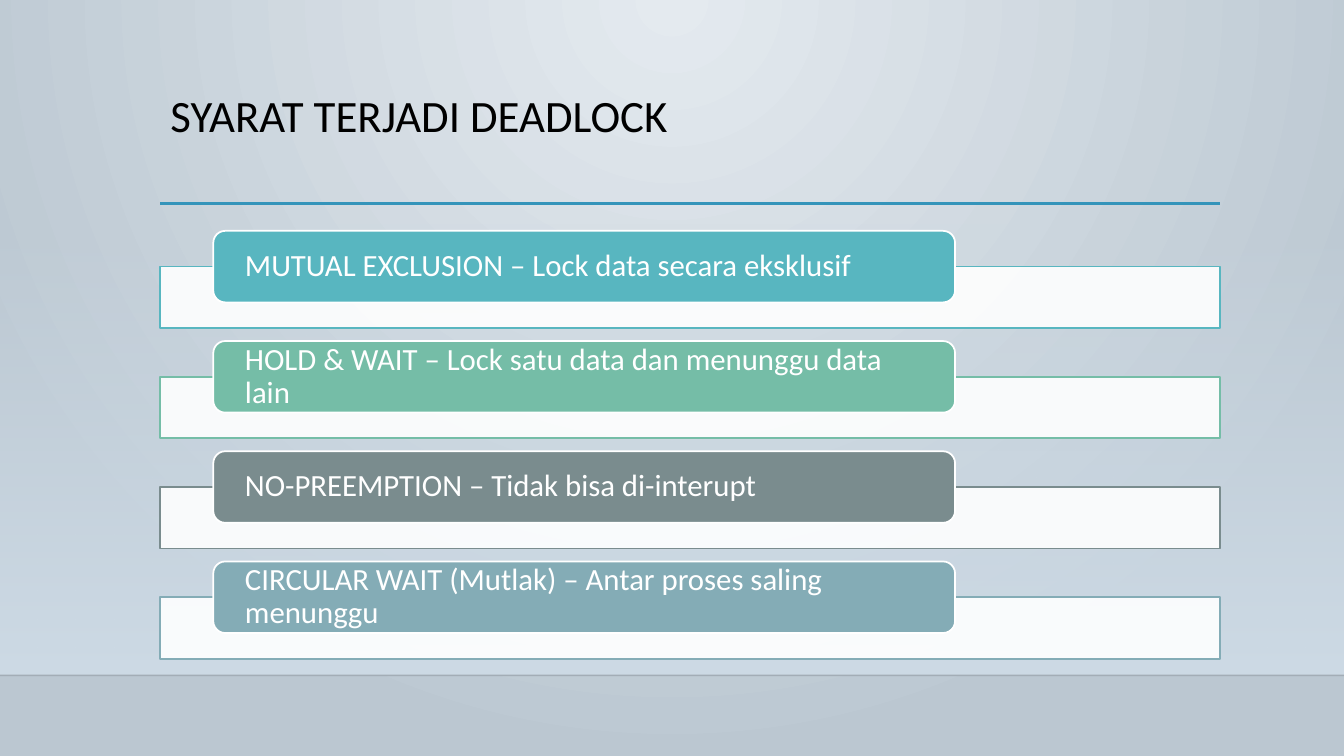
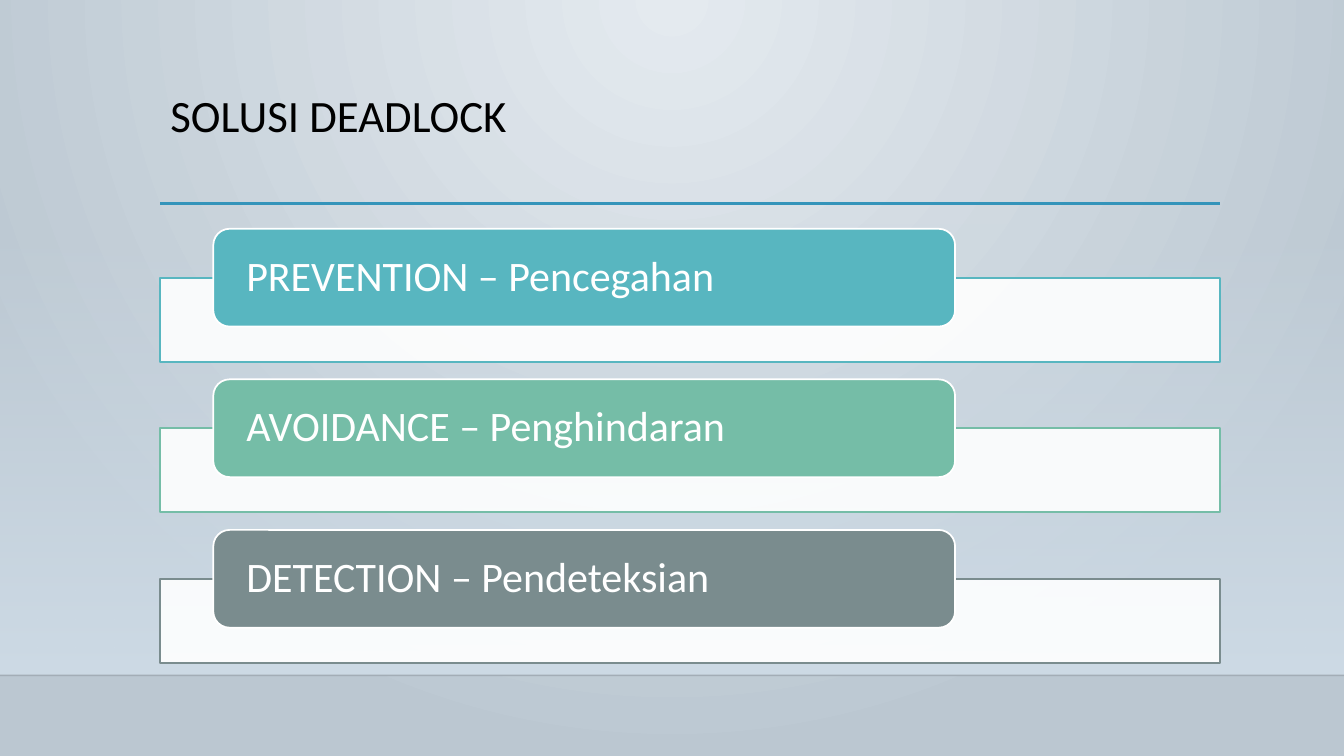
from lxml import etree
from pptx import Presentation
from pptx.dml.color import RGBColor
from pptx.enum.shapes import MSO_CONNECTOR, MSO_SHAPE
from pptx.enum.text import MSO_ANCHOR, PP_ALIGN
from pptx.oxml.ns import qn
from pptx.util import Inches, Pt

BLACK = RGBColor(0x00, 0x00, 0x00)
WHITE = RGBColor(0xFF, 0xFF, 0xFF)
BLUE = RGBColor(0x34, 0x94, 0xBA)
HAZE = RGBColor(0xCE, 0xDB, 0xE6)
GLOW = RGBColor(0xE4, 0xEA, 0xEF)
EDGE = RGBColor(0xBB, 0xC7, 0xD1)
ACCENTS = [
    RGBColor(0x58, 0xB6, 0xC0),
    RGBColor(0x75, 0xBD, 0xA7),
    RGBColor(0x7A, 0x8C, 0x8E),
    RGBColor(0x84, 0xAC, 0xB6),
]

FONT = "Calibri"
WIDTH, HEIGHT = 13.33, 7.5
LEFT, CONTENT_WIDTH = 1.59, 10.51
FLOOR = 6.7

# Row proportions, as multiples of the pill height
BAR_OFFSET, BAR_HEIGHT, ROW_PITCH = 0.5, 0.86, 1.54

SLIDES = [
    {
        "title": "SYARAT TERJADI DEADLOCK",
        "top": 2.29, "pill_height": 0.71, "size": 22,
        "items": [
            "MUTUAL EXCLUSION – Lock data secara eksklusif",
            "HOLD & WAIT – Lock satu data dan menunggu data lain",
            "NO-PREEMPTION – Tidak bisa di-interupt",
            "CIRCULAR WAIT (Mutlak) – Antar proses saling menunggu",
        ],
    },
    {
        "title": "SOLUSI DEADLOCK",
        "top": 2.27, "pill_height": 0.97, "size": 30,
        "items": [
            "PREVENTION – Pencegahan",
            "AVOIDANCE – Penghindaran",
            "DETECTION – Pendeteksian",
        ],
    },
]


def set_alpha(color, percent):
    etree.SubElement(color, qn("a:alpha")).set("val", str(percent * 1000))


def first_color(shape):
    return shape.element.spPr.find(".//" + qn("a:srgbClr"))


def set_gradient(fill, colors):
    fill.gradient()
    for stop, color, position in zip(fill.gradient_stops, colors, (0, 1)):
        stop.color.rgb = color
        stop.position = position


def add_box(s, kind, left, top, width, height):
    sp = s.shapes.add_shape(kind, Inches(left), Inches(top), Inches(width), Inches(height))
    sp.shadow.inherit = False
    return sp


def add_rule(s, left, y, width, color, weight):
    line = s.shapes.add_connector(
        MSO_CONNECTOR.STRAIGHT, Inches(left), Inches(y), Inches(left + width), Inches(y))
    line.line.color.rgb = color
    line.line.width = Pt(weight)
    etree.SubElement(line.element.spPr, qn("a:effectLst"))
    return line


def set_background(layout):
    """Radial glow from the top centre."""
    set_gradient(layout.background.fill, (GLOW, EDGE))
    grad = layout.element.find(".//" + qn("a:gradFill"))
    grad.remove(grad.find(qn("a:lin")))
    radial = etree.SubElement(grad, qn("a:path"))
    radial.set("path", "circle")
    focus = etree.SubElement(radial, qn("a:fillToRect"))
    for side, percent in {"l": 43, "t": 0, "r": 43, "b": 100}.items():
        focus.set(side, str(percent * 1000))


def add_layout_decor(layout, s):
    """Draw the shared parts on a slide, then move them to its layout."""
    haze = add_box(s, MSO_SHAPE.RECTANGLE, 0, 2.21, WIDTH, FLOOR - 2.21)
    set_gradient(haze.fill, (HAZE, HAZE))
    haze.fill.gradient_angle = 270
    haze.line.fill.background()
    set_alpha(first_color(haze), 0)

    floor_line = add_rule(s, 0, FLOOR, WIDTH, BLACK, 1)
    set_alpha(first_color(floor_line), 20)
    title_line = add_rule(s, LEFT, 2.02, CONTENT_WIDTH, BLUE, 2.5)

    tree = layout.element.find(".//" + qn("p:spTree"))
    for number, part in enumerate((haze, floor_line, title_line), start=100):
        part.element.find(".//" + qn("p:cNvPr")).set("id", str(number))
        tree.append(part.element)


def write_text(tf, text, size, color, anchor):
    tf.word_wrap = True
    tf.vertical_anchor = anchor
    p = tf.paragraphs[0]
    p.alignment = PP_ALIGN.LEFT
    p.line_spacing = 0.9
    r = p.add_run()
    r.text = text
    for name, value in {"name": FONT, "size": Pt(size)}.items():
        setattr(r.font, name, value)
    r.font.color.rgb = color


def add_title(s, text):
    title = s.shapes.title
    box = {"left": LEFT, "top": 0.88, "width": CONTENT_WIDTH, "height": 1.15}
    for name, value in box.items():
        setattr(title, name, Inches(value))
    write_text(title.text_frame, text, 32, BLACK, MSO_ANCHOR.TOP)


def add_row(s, left, top, width, pill_height, text, size, accent):
    """A pale bar with a coloured pill overlapping its upper edge."""
    bar = add_box(s, MSO_SHAPE.RECTANGLE, left, top + BAR_OFFSET * pill_height,
                  width, BAR_HEIGHT * pill_height)
    pill = add_box(s, MSO_SHAPE.ROUNDED_RECTANGLE, left + 0.05 * width, top,
                   0.7 * width, pill_height)
    for sp, fill, line in ((bar, WHITE, accent), (pill, accent, WHITE)):
        sp.fill.solid()
        sp.fill.fore_color.rgb = fill
        sp.line.color.rgb = line
        sp.line.width = Pt(1.25)
    set_alpha(first_color(bar), 90)

    tf = pill.text_frame
    margins = {"margin_left": 0.28, "margin_right": 0.28, "margin_top": 0, "margin_bottom": 0}
    for name, value in margins.items():
        setattr(tf, name, Inches(value))
    write_text(tf, text, size, WHITE, MSO_ANCHOR.MIDDLE)


def add_list(s, left, top, width, pill_height, items, size):
    for i, (text, accent) in enumerate(zip(items, ACCENTS)):
        row_top = top + i * ROW_PITCH * pill_height
        add_row(s, left, row_top, width, pill_height, text, size, accent)


def main():
    prs = Presentation()
    prs.slide_width, prs.slide_height = Inches(WIDTH), Inches(HEIGHT)
    layout = prs.slide_layouts[5]
    set_background(layout)
    for i, content in enumerate(SLIDES):
        s = prs.slides.add_slide(layout)
        if i == 0:
            add_layout_decor(layout, s)
        add_title(s, content["title"])
        add_list(s, LEFT, content["top"], CONTENT_WIDTH, content["pill_height"],
                 content["items"], content["size"])
    prs.save("out.pptx")


if __name__ == "__main__":
    main()
